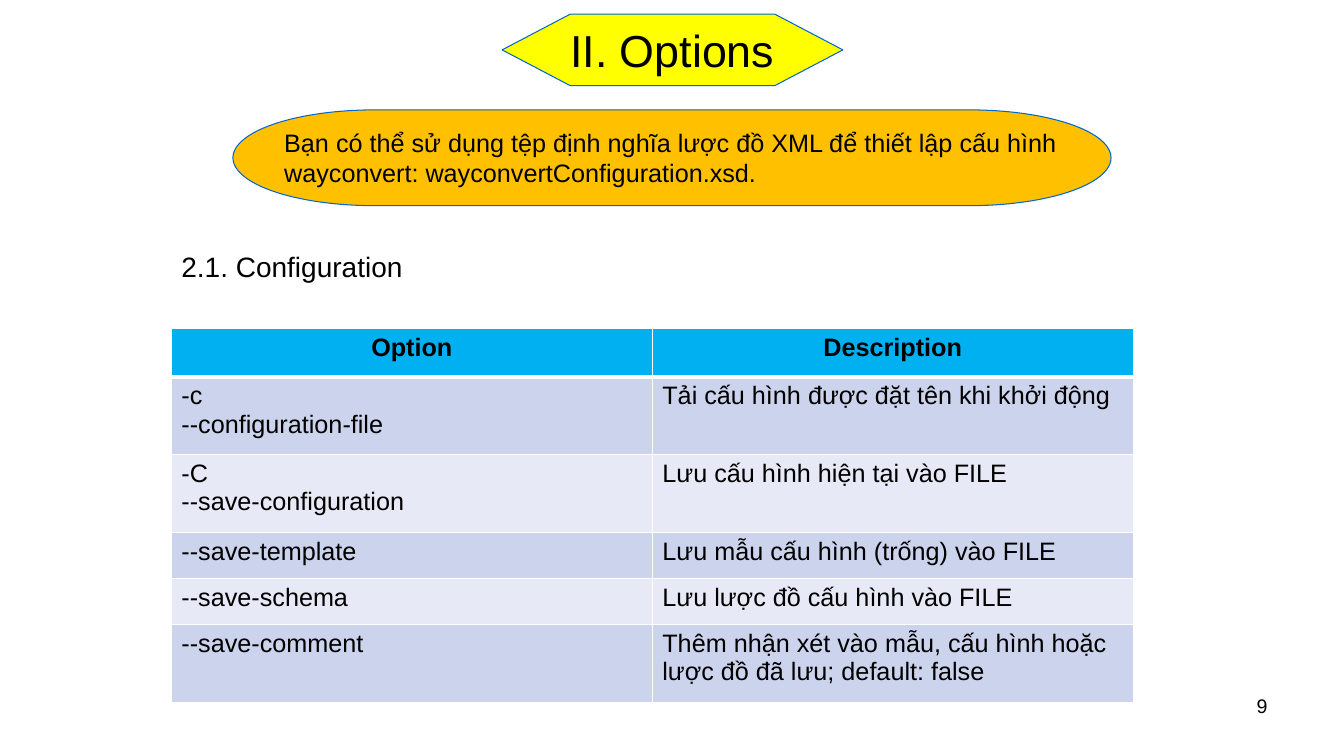
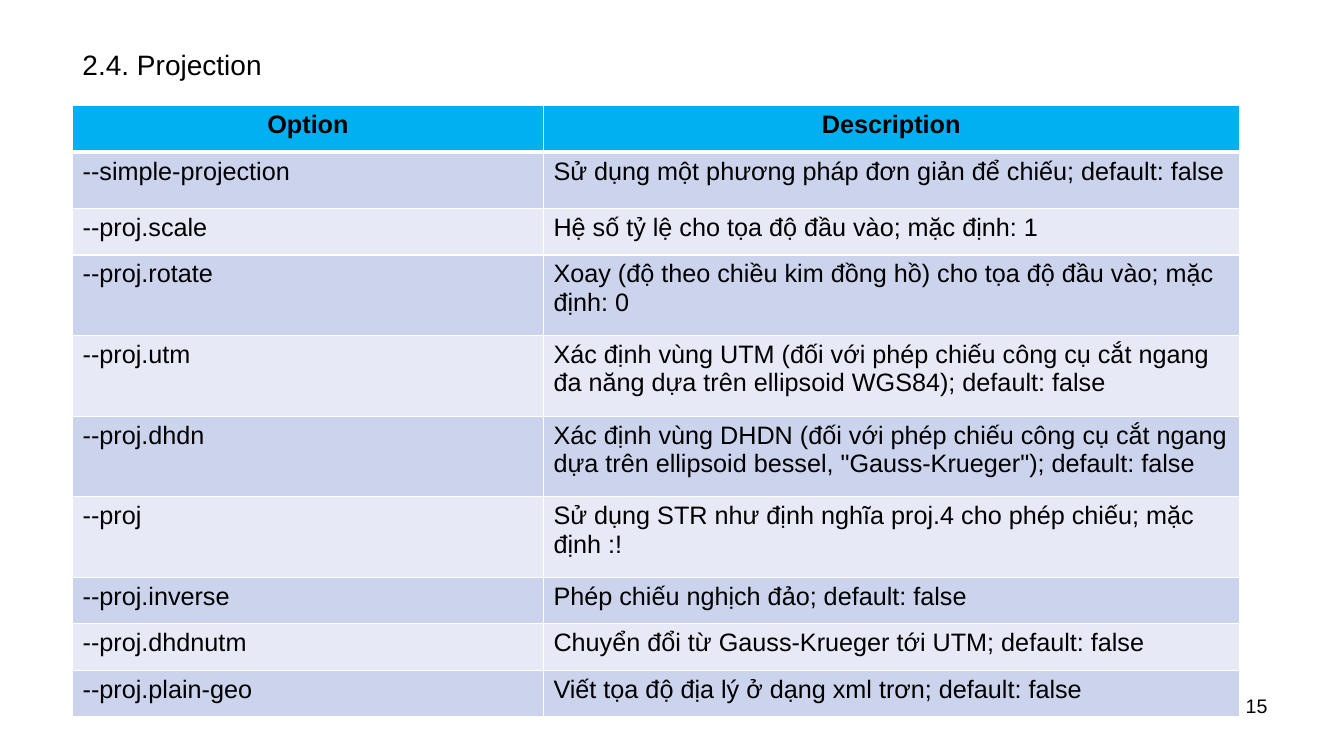
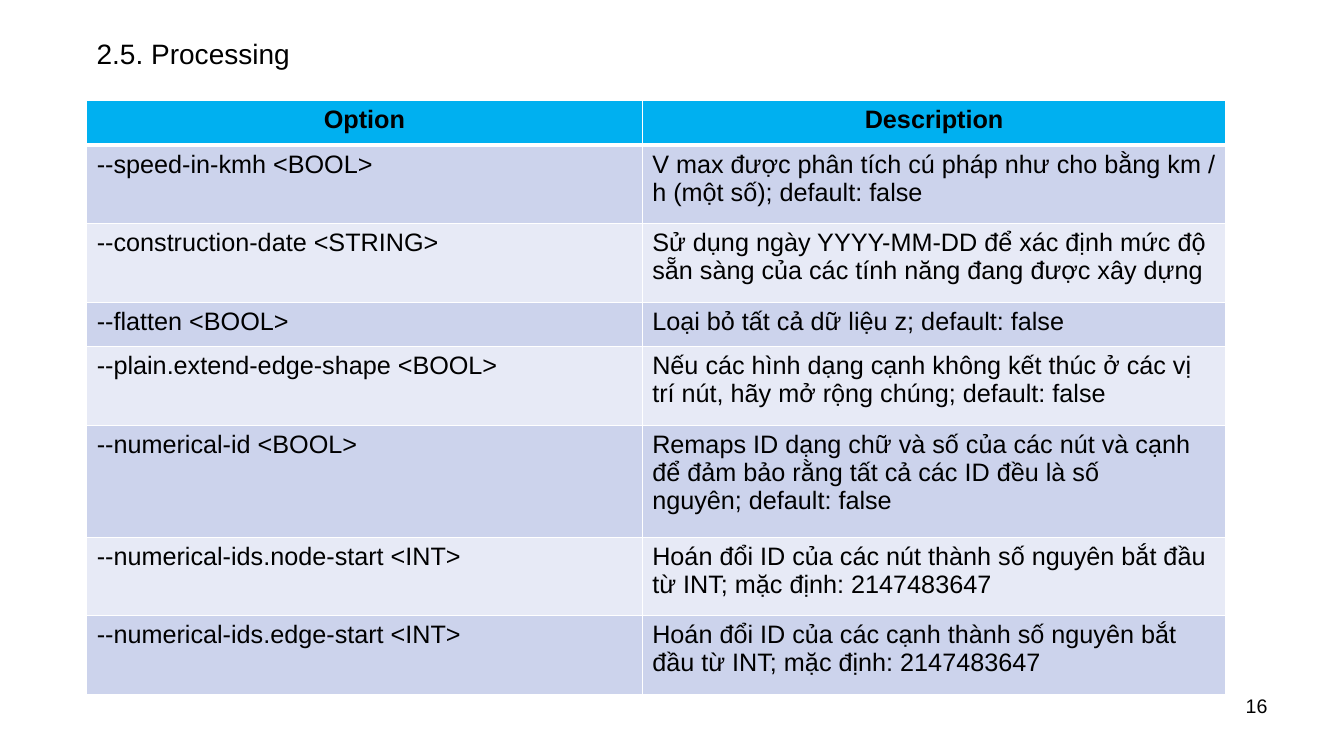
import pptx
import pptx.util
import pptx.dml.color
import pptx.enum.shapes
import pptx.enum.text
import pptx.oxml
import pptx.oxml.ns
from lxml import etree

Inches = pptx.util.Inches
Pt = pptx.util.Pt
SHAPE = pptx.enum.shapes.MSO_SHAPE
ALIGN = pptx.enum.text.PP_ALIGN
ANCHOR = pptx.enum.text.MSO_ANCHOR
FIT = pptx.enum.text.MSO_AUTO_SIZE

COLORS = {
    "text": "000000", "outline": "0066CC", "title": "FFFF00", "note": "FFC000",
    "header": "00B0F0", "odd": "CCD3EC", "even": "E7EAF6", "grid": "FFFFFF",
}
FONT = "Arial"
HEADER = ("Option", "Description")
NUMBER_PLACE = (9.56, 6.83, 3.11, 0.52)
HARD_SPACE = chr(160)
GLUED = ("; ", ": ", " <", " :")

BANNERS = [
    {"kind": SHAPE.FLOWCHART_PREPARATION, "place": (4.98, 0.14, 3.38, 0.71), "fill": "title",
     "text": "II. Options", "style": {"size": 32, "alignment": ALIGN.CENTER}},
    {"kind": SHAPE.FLOWCHART_TERMINATOR, "place": (2.31, 1.09, 8.71, 0.95), "fill": "note",
     "text": "Bạn có thể sử dụng tệp định nghĩa lược đồ XML để thiết lập cấu hình\n"
             "wayconvert: wayconvertConfiguration.xsd.",
     "style": {"size": 18, "alignment": ALIGN.LEFT}},
]

PAGES = [
    {
        "number": "9", "banners": BANNERS,
        "heading": "2.1. Configuration", "heading_place": (1.7, 2.43, 2.42, 0.44),
        "table_top": 3.26, "columns": (4.77, 4.77),
        "heights": (0.48, 0.77, 0.77, 0.46, 0.46, 0.77),
        "rows": [
            ("-c\n--configuration-file", "Tải cấu hình được đặt tên khi khởi động"),
            ("-C\n--save-configuration", "Lưu cấu hình hiện tại vào FILE"),
            ("--save-template", "Lưu mẫu cấu hình (trống) vào FILE"),
            ("--save-schema", "Lưu lược đồ cấu hình vào FILE"),
            ("--save-comment", "Thêm nhận xét vào mẫu, cấu hình hoặc lược đồ đã lưu; default: false"),
        ],
    },
    {
        "number": "15", "banners": [],
        "heading": "2.4. Projection", "heading_place": (0.72, 0.42, 2.06, 0.44),
        "table_top": 1.05, "columns": (4.67, 6.9),
        "heights": (0.46, 0.56, 0.46, 0.8, 0.8, 0.8, 0.8, 0.46, 0.46, 0.46),
        "rows": [
            ("--simple-projection", "Sử dụng một phương pháp đơn giản để chiếu; default: false"),
            ("--proj.scale", "Hệ số tỷ lệ cho tọa độ đầu vào; mặc định: 1"),
            ("--proj.rotate", "Xoay (độ theo chiều kim đồng hồ) cho tọa độ đầu vào; mặc định: 0"),
            ("--proj.utm", "Xác định vùng UTM (đối với phép chiếu công cụ cắt ngang đa năng "
                           "dựa trên ellipsoid WGS84); default: false"),
            ("--proj.dhdn", "Xác định vùng DHDN (đối với phép chiếu công cụ cắt ngang "
                            "dựa trên ellipsoid bessel, \"Gauss-Krueger\"); default: false"),
            ("--proj", "Sử dụng STR như định nghĩa proj.4 cho phép chiếu; mặc định :!"),
            ("--proj.inverse", "Phép chiếu nghịch đảo; default: false"),
            ("--proj.dhdnutm", "Chuyển đổi từ Gauss-Krueger tới UTM; default: false"),
            ("--proj.plain-geo", "Viết tọa độ địa lý ở dạng xml trơn; default: false"),
        ],
    },
    {
        "number": "16", "banners": [],
        "heading": "2.5. Processing", "heading_place": (0.86, 0.31, 2.22, 0.44),
        "table_top": 1, "columns": (5.51, 5.79),
        "heights": (0.44, 0.78, 0.78, 0.44, 0.78, 1.11, 0.78, 0.78),
        "rows": [
            ("--speed-in-kmh <BOOL>",
             "V max được phân tích cú pháp như cho bằng km / h (một số); default: false"),
            ("--construction-date <STRING>",
             "Sử dụng ngày YYYY-MM-DD để xác định mức độ sẵn sàng của các tính năng đang được xây dựng"),
            ("--flatten <BOOL>", "Loại bỏ tất cả dữ liệu z; default: false"),
            ("--plain.extend-edge-shape <BOOL>",
             "Nếu các hình dạng cạnh không kết thúc ở các vị trí nút, hãy mở rộng chúng; default: false"),
            ("--numerical-id <BOOL>",
             "Remaps ID dạng chữ và số của các nút và cạnh để đảm bảo rằng tất cả các ID "
             "đều là số nguyên; default: false"),
            ("--numerical-ids.node-start <INT>",
             "Hoán đổi ID của các nút thành số nguyên bắt đầu từ INT; mặc định: 2147483647"),
            ("--numerical-ids.edge-start <INT>",
             "Hoán đổi ID của các cạnh thành số nguyên bắt đầu từ INT; mặc định: 2147483647"),
        ],
    },
]


def color(name):
    return pptx.dml.color.RGBColor.from_string(COLORS[name])


def paint(target, name):
    target.fill.solid()
    target.fill.fore_color.rgb = color(name)


def write(frame, text, size, bold=False, **para_format):
    for index, line in enumerate(text.split("\n")):
        para = frame.add_paragraph() if index else frame.paragraphs[0]
        for key, value in para_format.items():
            setattr(para, key, value)
        span = para.add_run()
        span.text = line
        for key, value in {"name": FONT, "size": Pt(size), "bold": bold}.items():
            setattr(span.font, key, value)
        span.font.color.rgb = color("text")


def add_text(page, place, text, size, fit=FIT.NONE, **para_format):
    box = page.shapes.add_textbox(*map(Inches, place))
    box.text_frame.word_wrap = True
    box.text_frame.auto_size = fit
    write(box.text_frame, text, size, **para_format)


def add_banner(page, banner):
    shape = page.shapes.add_shape(banner["kind"], *map(Inches, banner["place"]))
    shape.shadow.inherit = False
    paint(shape, banner["fill"])
    shape.line.color.rgb = color("outline")
    shape.line.width = Pt(0.75)
    frame = shape.text_frame
    for key, value in {"word_wrap": False, "vertical_anchor": ANCHOR.MIDDLE}.items():
        setattr(frame, key, value)
    write(frame, banner["text"], **banner["style"])


def add_borders(cell, row):
    widths = {"lnL": 1, "lnR": 1, "lnT": 3 if row == 1 else 1, "lnB": 3 if row == 0 else 1}
    properties = cell._tc.get_or_add_tcPr()
    for index, (side, width) in enumerate(widths.items()):
        line = etree.Element(pptx.oxml.ns.qn("a:" + side), w=str(Pt(width)))
        fill = etree.SubElement(line, pptx.oxml.ns.qn("a:solidFill"))
        etree.SubElement(fill, pptx.oxml.ns.qn("a:srgbClr"), val=COLORS["grid"])
        properties.insert(index, line)


def glue(text):
    for pair in GLUED:
        text = text.replace(pair, pair.replace(" ", HARD_SPACE))
    return text


def add_options(page, content):
    columns, heights = content["columns"], content["heights"]
    place = (content["heading_place"][0], content["table_top"], sum(columns), sum(heights))
    table = page.shapes.add_table(len(heights), len(columns), *map(Inches, place)).table
    table.horz_banding = False
    for column, width in zip(table.columns, columns):
        column.width = Inches(width)
    for row, height in zip(table.rows, heights):
        row.height = Inches(height)
    for row, texts in enumerate([HEADER] + content["rows"]):
        is_header = row == 0
        fill = "header" if is_header else ("even", "odd")[row % 2]
        for column, text in enumerate(texts):
            cell = table.cell(row, column)
            paint(cell, fill)
            write(cell.text_frame, glue(text), 18, bold=is_header,
                  alignment=ALIGN.CENTER if is_header else ALIGN.LEFT)
            add_borders(cell, row)


def main():
    deck = pptx.Presentation()
    deck.slide_width, deck.slide_height = Inches(13.33), Inches(7.5)
    for content in PAGES:
        page = deck.slides.add_slide(deck.slide_layouts[6])
        for banner in content["banners"]:
            add_banner(page, banner)
        add_text(page, content["heading_place"], content["heading"], 20, FIT.SHAPE_TO_FIT_TEXT)
        add_options(page, content)
        add_text(page, NUMBER_PLACE, content["number"], 14, alignment=ALIGN.RIGHT)
    deck.save("out.pptx")


if __name__ == "__main__":
    main()
